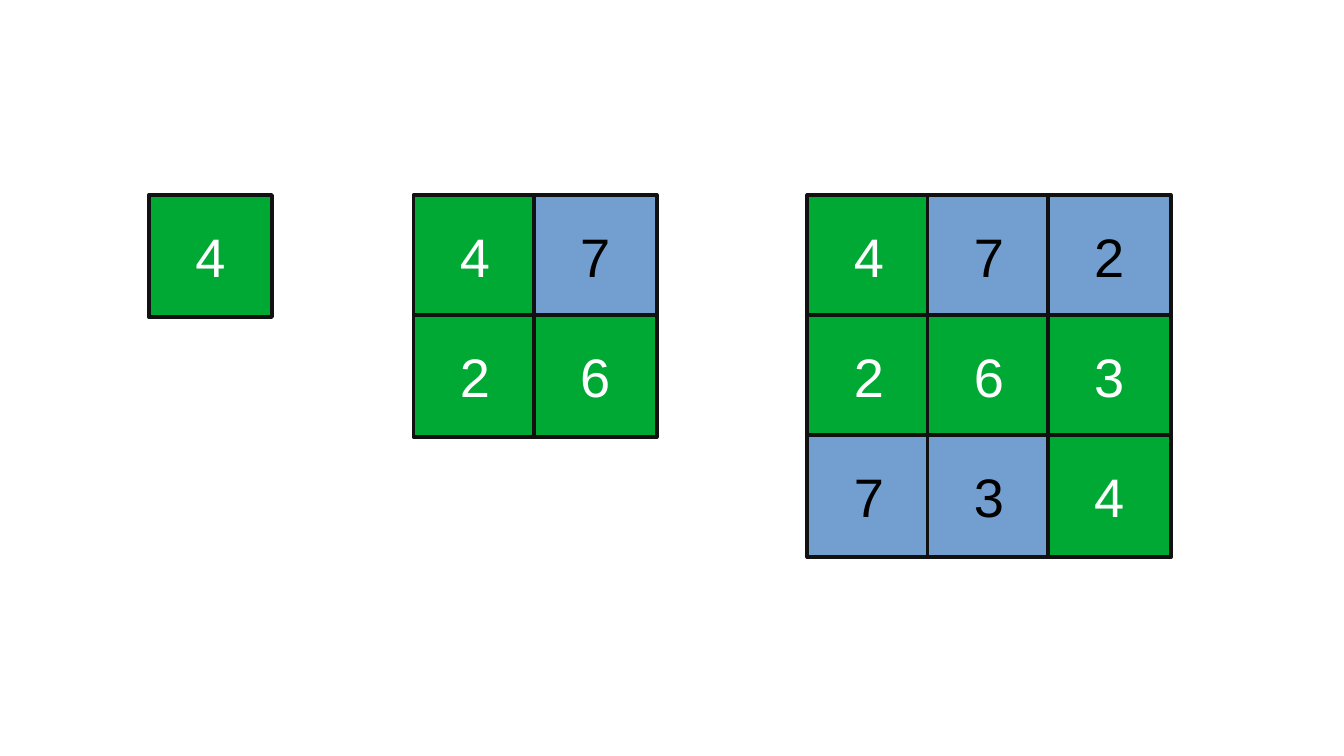
"""Draw three number grids of growing size with highlighted cells."""
from pptx import Presentation
from pptx.dml.color import RGBColor
from pptx.enum.shapes import MSO_SHAPE
from pptx.enum.text import MSO_ANCHOR, PP_ALIGN
from pptx.util import Inches, Pt

GRID_TOP = 1.6
CELL_WIDTH, CELL_HEIGHT = 1.01, 1
PITCH = 1.97 / 2
GRIDS = [
    (1.22, ["4"], ["G"]),
    (6.62, ["472", "263", "734"], ["GBB", "GGG", "BBG"]),
    (3.39, ["47", "26"], ["GB", "GG"]),
]


def color(hex_value):
    """Turn a hex string into a colour."""
    return RGBColor.from_string(hex_value)


class GridPainter:
    """Hold the grid style and the current slide."""

    font_name, font_size = "Arial", 32
    outline, outline_width = "111111", 2.3
    palette = {"G": ("00A933", "FFFFFF"), "B": ("729FCF", "000000")}

    def __init__(self, slide):
        """Keep the slide to draw on."""
        self.slide = slide

    def cell(self, left, top, digit, shade):
        """Draw one square with its digit."""
        fill, ink = self.palette[shade]
        square = self.slide.shapes.add_shape(
            MSO_SHAPE.RECTANGLE, Inches(left), Inches(top),
            Inches(CELL_WIDTH), Inches(CELL_HEIGHT))
        square.shadow.inherit = False
        square.fill.solid()
        square.fill.fore_color.rgb = color(fill)
        square.line.color.rgb = color(self.outline)
        square.line.width = Pt(self.outline_width)
        frame = square.text_frame
        frame.text = digit
        frame.word_wrap = False
        frame.vertical_anchor = MSO_ANCHOR.MIDDLE
        frame.margin_left = frame.margin_right = Inches(0.11)
        frame.margin_top = frame.margin_bottom = Inches(0.06)
        paragraph = frame.paragraphs[0]
        paragraph.alignment = PP_ALIGN.CENTER
        font = paragraph.runs[0].font
        font.name = self.font_name
        font.size = Pt(self.font_size)
        font.color.rgb = color(ink)

    def grid(self, left, digits, shades):
        """Draw a square grid of cells."""
        for row, (digit_row, shade_row) in enumerate(zip(digits, shades)):
            for column, (digit, shade) in enumerate(zip(digit_row, shade_row)):
                self.cell(left + column * PITCH, GRID_TOP + row * PITCH, digit, shade)


def main():
    """Build and save the slide."""
    deck = Presentation()
    deck.slide_width, deck.slide_height = Inches(11.02), Inches(6.2)
    painter = GridPainter(deck.slides.add_slide(deck.slide_layouts[6]))
    for left, digits, shades in GRIDS:
        painter.grid(left, digits, shades)
    deck.save("out.pptx")


if __name__ == "__main__":
    main()
